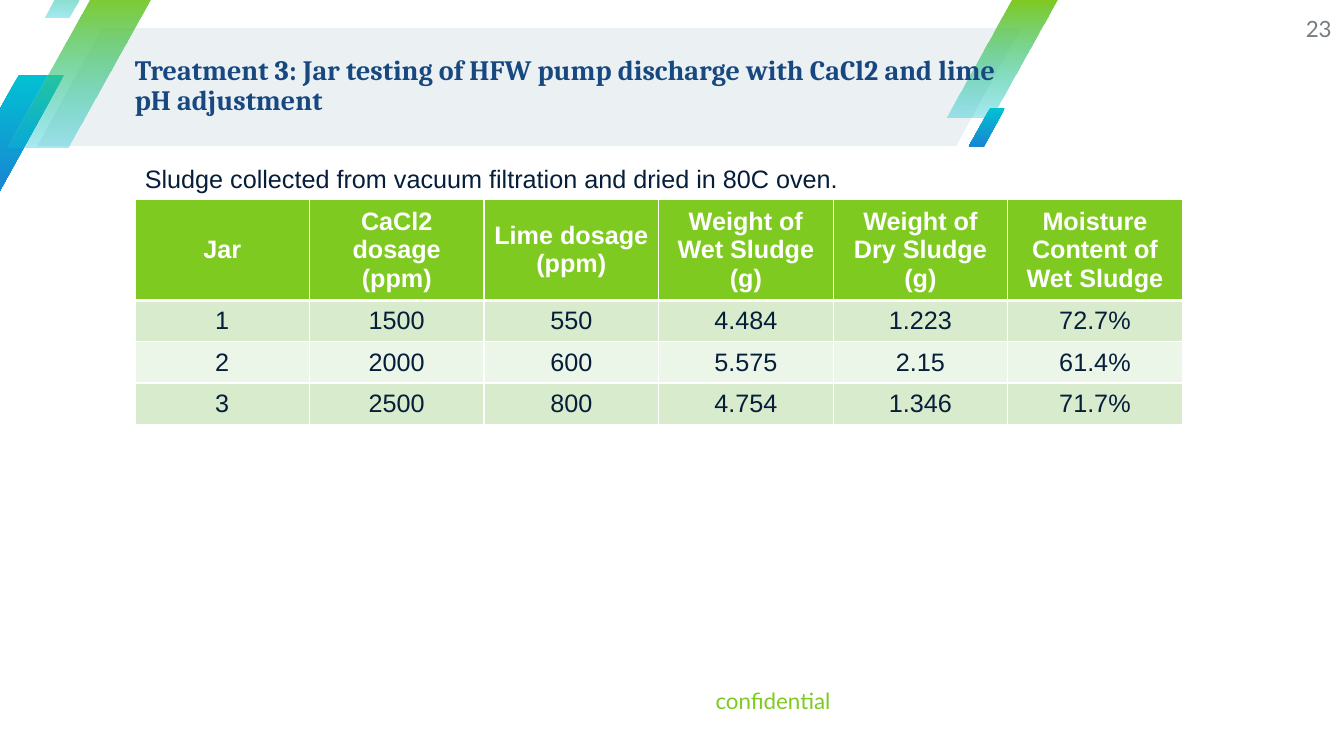
from lxml.etree import SubElement
from pptx import Presentation
from pptx.dml.color import RGBColor
from pptx.enum.shapes import MSO_SHAPE as Shape
from pptx.enum.text import MSO_ANCHOR as Anchor, MSO_AUTO_SIZE as AutoSize, PP_ALIGN as Align
from pptx.oxml.ns import qn
from pptx.util import Cm, Pt

GREEN, CYAN, BLUE, WHITE = "7FCA20", "02C1D3", "1985D2", "FFFFFF"
NAVY, TITLE_BLUE, GREY, BAND = "061E3A", "184880", "757C83", "EBF0F3"
ROW_FILLS = ["D8ECCD", "ECF6E8"]
FADE = (GREEN, CYAN, 34)
DEEP = (CYAN, BLUE, 100)
STRIPES = [
    (-1.17, 1.88, 2.79, DEEP),
    (23.85, 0, 2.79, FADE),
    (0.2, -0.25, 3.71, FADE),
    (1.12, -1.22, 1.55, FADE),
    (24.41, 2.72, 0.92, DEEP),
]
HEADINGS = ["Jar", "CaCl2 dosage (ppm)", "Lime dosage (ppm)", "Weight of Wet Sludge (g)",
            "Weight of Dry Sludge (g)", "Moisture Content of Wet Sludge"]
JARS = [
    ["1", "1500", "550", "4.484", "1.223", "72.7%"],
    ["2", "2000", "600", "5.575", "2.15", "61.4%"],
    ["3", "2500", "800", "4.754", "1.346", "71.7%"],
]


def color(value):
    return RGBColor.from_string(value)


def set_values(target, values):
    for name, value in values.items():
        setattr(target, name, value)


def write(frame, text, size, font, text_color, bold=False, **layout):
    paragraph = frame.paragraphs[0]
    set_values(paragraph, layout)
    run = paragraph.add_run()
    run.text = text
    set_values(run.font, {"size": Pt(size), "name": font, "bold": bold})
    run.font.color.rgb = color(text_color)


def add_text(slide, box, values, *content, **layout):
    frame = slide.shapes.add_textbox(*map(Cm, box)).text_frame
    set_values(frame, values)
    write(frame, *content, **layout)


def add_label(slide, box, *content, **layout):
    values = {"word_wrap": True, "vertical_anchor": Anchor.MIDDLE, "margin_left": 0,
              "margin_top": 0, "margin_right": 0, "margin_bottom": 0}
    add_text(slide, box, values, *content, **layout)


def add_parallelogram(slide, box, slant):
    shape = slide.shapes.add_shape(Shape.PARALLELOGRAM, *map(Cm, box))
    shape.adjustments[0] = slant
    shape.shadow.inherit = False
    shape.line.fill.background()
    return shape


def add_stripe(slide, box, start, end, end_alpha):
    shape = add_parallelogram(slide, box, 0.59)
    shape.fill.gradient()
    shape.fill.gradient_angle = 270
    for stop, position, value in zip(shape.fill.gradient_stops, (0, 1), (start, end)):
        stop.position = position
        stop.color.rgb = color(value)
    if end_alpha < 100:
        end_color = list(shape.element.spPr.iter(qn("a:srgbClr")))[-1]
        SubElement(end_color, qn("a:alpha"), val=str(end_alpha * 1000))


def add_header(slide, left, top, title):
    band = add_parallelogram(slide, (left + 0.94, top + 0.71, 24.79, 2.97), 0.55)
    band.fill.solid()
    band.fill.fore_color.rgb = color(BAND)
    for x, y, width, gradient in STRIPES:
        add_stripe(slide, (left + x, top + y, width, width * 1.066), *gradient)
    add_label(slide, (left + 3.4, top + 0.66, 22.33, 3.02), title, 20, "Cambria",
              TITLE_BLUE, True, line_spacing=0.9)


def add_borders(cell, bottom_width):
    properties = cell._tc.get_or_add_tcPr()
    for side, width in zip("LRTB", (1, 1, 1, bottom_width)):
        line = SubElement(properties, qn(f"a:ln{side}"), w=str(Pt(width)))
        fill = SubElement(line, qn("a:solidFill"))
        SubElement(fill, qn("a:srgbClr"), val=WHITE)


def add_sludge_table(slide, left, top, width, header_height, row_height):
    rows = [HEADINGS] + JARS
    height = header_height + row_height * len(JARS)
    table = slide.shapes.add_table(len(rows), len(HEADINGS), Cm(left), Cm(top),
                                   Cm(width), Cm(height)).table
    table.horz_banding = False
    for column in table.columns:
        column.width = Cm(width / len(HEADINGS))
    for row_index, texts in enumerate(rows):
        heading = row_index == 0
        table.rows[row_index].height = Cm(header_height if heading else row_height)
        fill = GREEN if heading else ROW_FILLS[(row_index - 1) % 2]
        for column_index, text in enumerate(texts):
            cell = table.cell(row_index, column_index)
            add_borders(cell, 3 if heading else 1)
            cell.fill.solid()
            cell.fill.fore_color.rgb = color(fill)
            cell.vertical_anchor = Anchor.MIDDLE
            write(cell.text_frame, text, 18, "Arial", WHITE if heading else NAVY,
                  heading, alignment=Align.CENTER)


def add_results(slide, left, top):
    values = {"word_wrap": False, "auto_size": AutoSize.SHAPE_TO_FIT_TEXT}
    add_text(slide, (left, top, 18.14, 1.02), values,
             "Sludge collected from vacuum filtration and dried in 80C oven.", 18, "Arial", NAVY)
    add_sludge_table(slide, left, top + 1.04, 26.4, 2, 1.04)


def main():
    presentation = Presentation()
    set_values(presentation, {"slide_width": Cm(33.87), "slide_height": Cm(19.05)})
    slide = presentation.slides.add_slide(presentation.slide_layouts[6])
    add_header(slide, 0, 0,
               "Treatment 3: Jar testing of HFW pump discharge with CaCl2 and lime pH adjustment")
    add_label(slide, (11.86, 16.94, 9.07, 1.45), "confidential", 16, "Lato", GREEN,
              alignment=Align.RIGHT)
    add_label(slide, (31.7, 0, 1.86, 1.45), "23", 16, "Lato", GREY, alignment=Align.RIGHT)
    add_results(slide, 3.4, 3.99)
    presentation.save("out.pptx")


if __name__ == "__main__":
    main()
